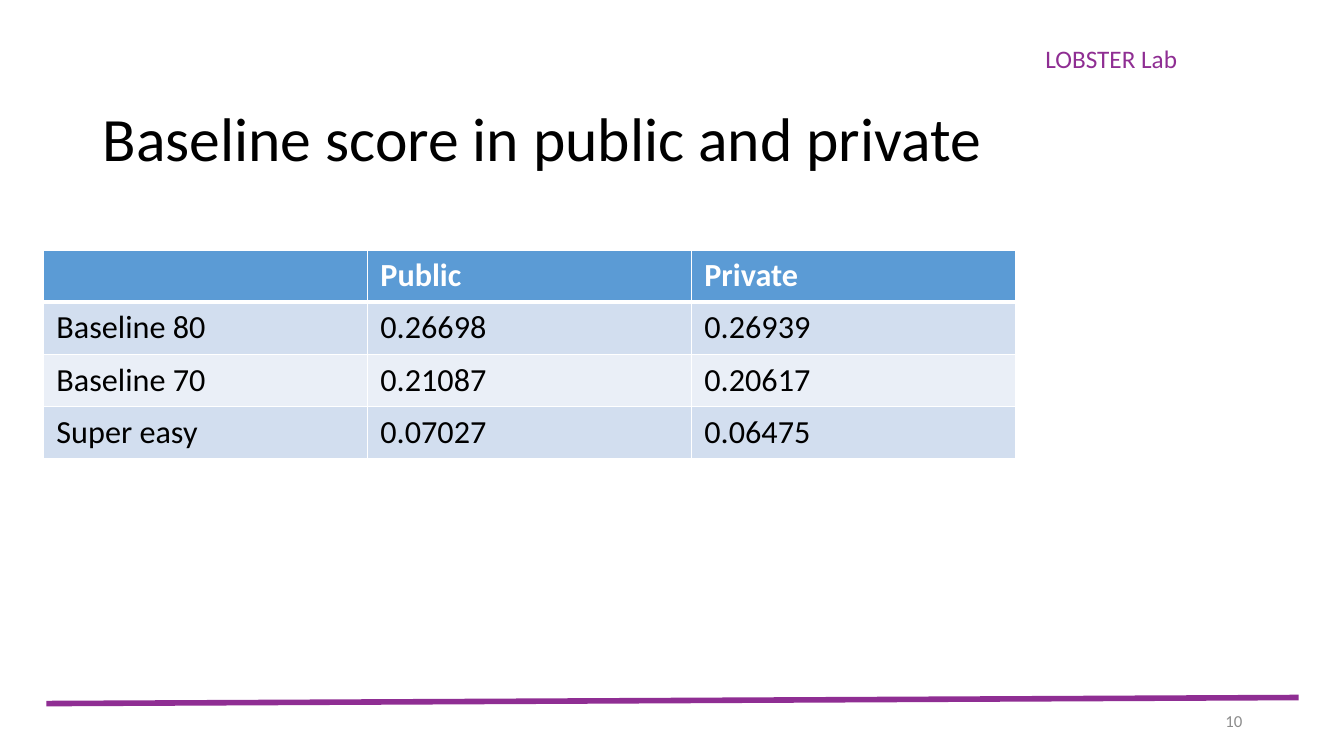
from lxml.etree import SubElement
from pptx import Presentation
from pptx.dml.color import RGBColor
from pptx.enum.shapes import MSO_CONNECTOR
from pptx.enum.text import MSO_ANCHOR as Anchor, PP_ALIGN as Align
from pptx.oxml import parse_xml
from pptx.oxml.ns import nsdecls, qn
from pptx.util import Inches, Pt

WIDTH, HEIGHT = 13.33, 7.5
FONT = "Calibri"
PURPLE, BLACK, WHITE, GREY = "8F2E93", "000000", "FFFFFF", "8C8C8C"
HEADER_FILL, BAND_FILLS = "5B9BD5", ("D2DEEF", "EAEFF7")

SCORES = [
    ("", "Public", "Private"),
    ("Baseline 80", "0.26698", "0.26939"),
    ("Baseline 70", "0.21087", "0.20617"),
    ("Super easy", "0.07027", "0.06475"),
]


def rgb(hex_color):
    return RGBColor.from_string(hex_color)


def write(frame, text, size, color=BLACK, bold=False, align=Align.LEFT, spacing=1.0):
    """Fill a text frame with one formatted paragraph."""
    paragraph = frame.paragraphs[0]
    paragraph.alignment = align
    paragraph.line_spacing = spacing
    run = paragraph.add_run()
    run.text = text
    run.font.name = FONT
    run.font.size = Pt(size)
    run.font.bold = bold
    run.font.color.rgb = rgb(color)


def add_label(slide, box, text, anchor=Anchor.TOP, **text_format):
    frame = slide.shapes.add_textbox(*map(Inches, box)).text_frame
    frame.word_wrap = True
    frame.vertical_anchor = anchor
    write(frame, text, **text_format)


def set_borders(cell, widths):
    """Draw white borders; widths maps L, R, T, B to points."""
    properties = cell._tc.get_or_add_tcPr()
    for index, side in enumerate("LRTB"):
        border = parse_xml(
            f'<a:ln{side} {nsdecls("a")} w="{Pt(widths[side])}"><a:solidFill>'
            f'<a:srgbClr val="{WHITE}"/></a:solidFill></a:ln{side}>')
        properties.insert(index, border)


def add_score_table(slide, box):
    table = slide.shapes.add_table(len(SCORES), len(SCORES[0]), *map(Inches, box)).table
    for row_index, values in enumerate(SCORES):
        is_header = row_index == 0
        fill = HEADER_FILL if is_header else BAND_FILLS[(row_index - 1) % 2]
        widths = {"L": 1, "R": 1, "T": 3 if row_index == 1 else 1, "B": 3 if is_header else 1}
        for column_index, value in enumerate(values):
            cell = table.cell(row_index, column_index)
            cell.fill.solid()
            cell.fill.fore_color.rgb = rgb(fill)
            cell.margin_left = cell.margin_right = Inches(0.13)
            cell.margin_top = cell.margin_bottom = Inches(0.06)
            set_borders(cell, widths)
            if value:
                write(cell.text_frame, value, 23, WHITE if is_header else BLACK, is_header)


def add_footer(slide, box, number):
    """Place the sloping rule across the box and the page number below it."""
    left, top, width, height = box
    rule = slide.shapes.add_connector(
        MSO_CONNECTOR.STRAIGHT,
        *map(Inches, (left, top + 0.06, left + width, top)))
    rule.line.color.rgb = rgb(PURPLE)
    rule.line.width = Pt(4)
    SubElement(rule._element.spPr, qn("a:effectLst"))
    number_width = 3
    add_label(slide, (left + width - number_width - 0.46, top + 0.03, number_width, height),
              number, Anchor.MIDDLE, size=12, color=GREY, align=Align.RIGHT)


def main():
    deck = Presentation()
    deck.slide_width, deck.slide_height = Inches(WIDTH), Inches(HEIGHT)
    slide = deck.slides.add_slide(deck.slide_layouts[6])
    add_label(slide, (10.27, 0.38, WIDTH - 10.27, 0.4), "LOBSTER Lab", size=18, color=PURPLE)
    add_label(slide, (0.92, 0.68, 11.5, 1.45), "Baseline score in public and private",
              Anchor.MIDDLE, size=44, spacing=0.9)
    add_score_table(slide, (0.43, 2.48, 9.64, 2.07))
    add_footer(slide, (0.46, 6.92, 12.42, 0.4), "10")
    deck.save("out.pptx")


if __name__ == "__main__":
    main()
